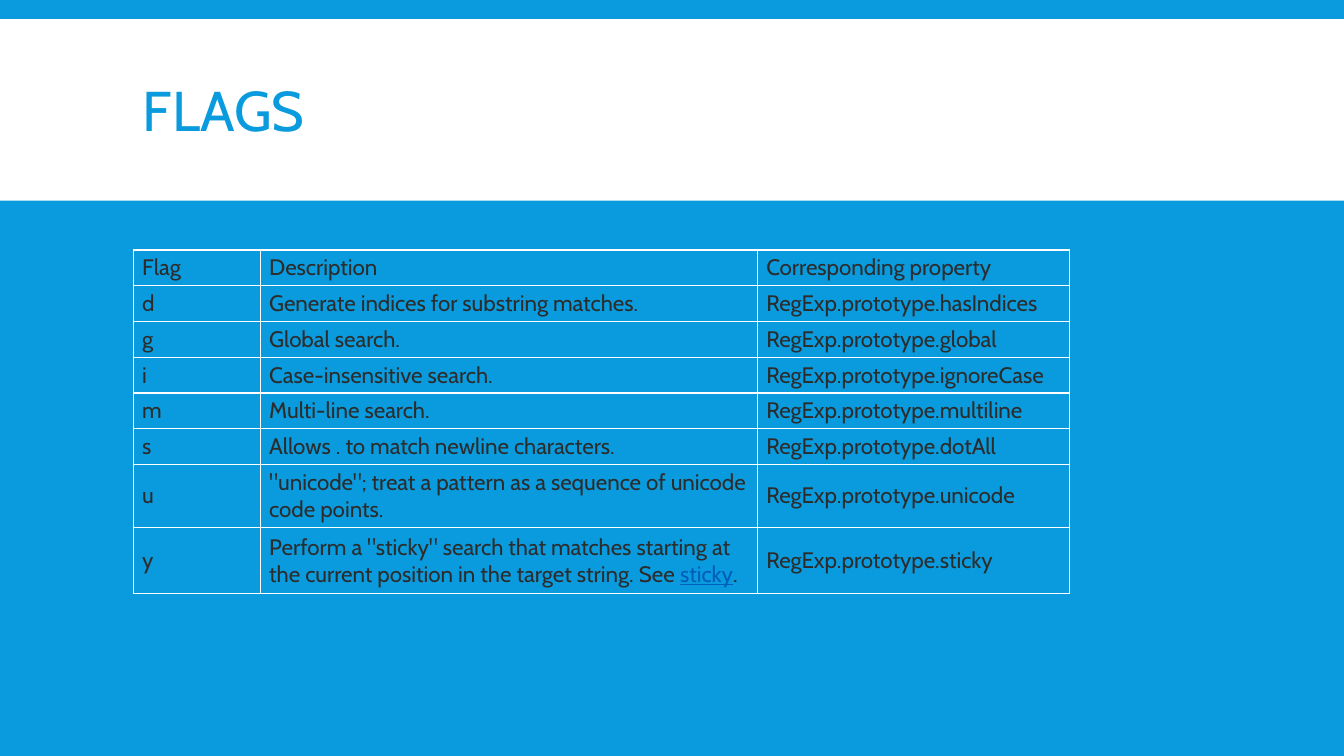
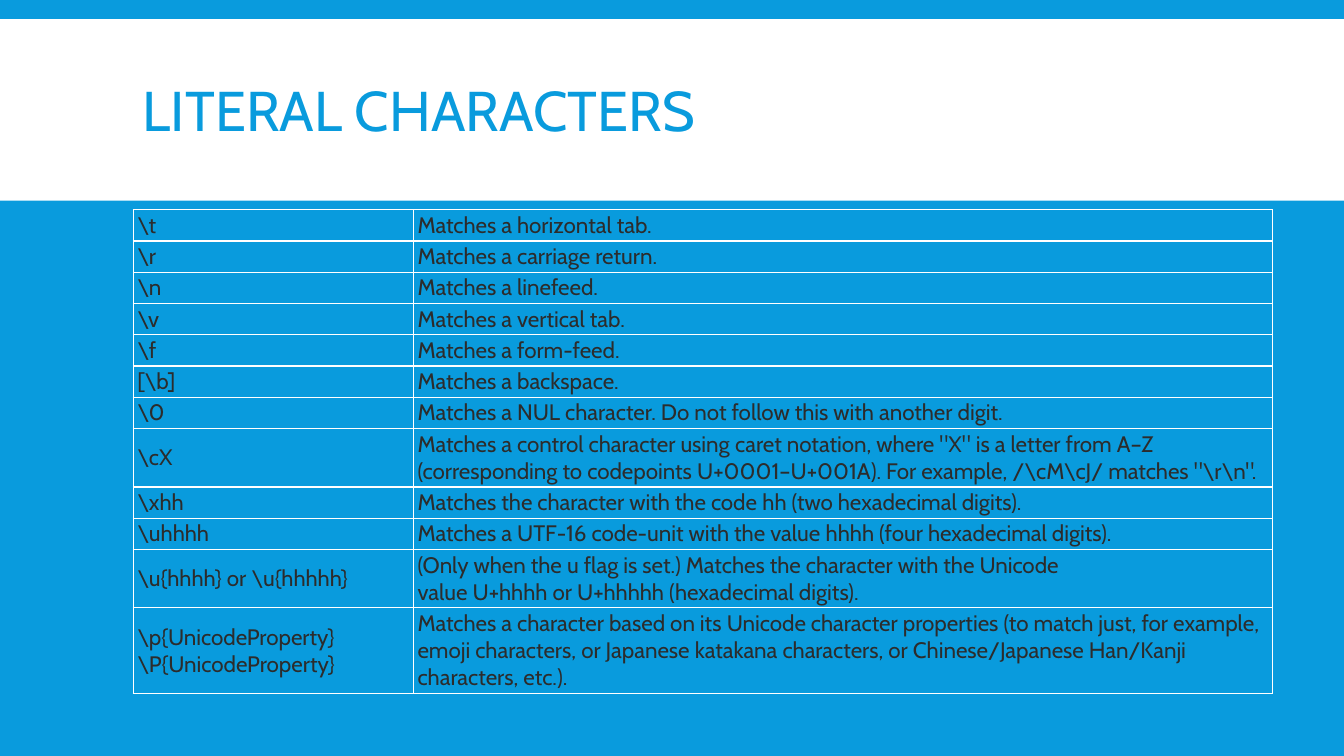
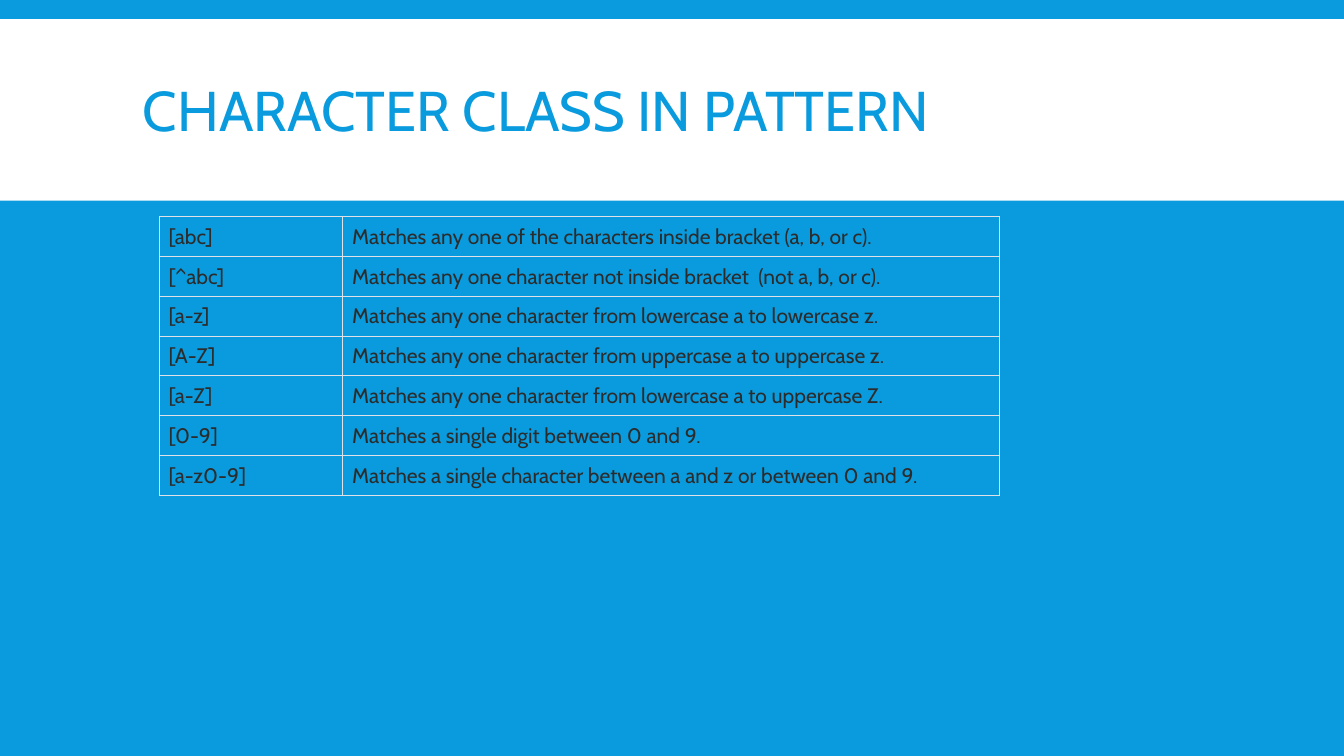
from lxml.etree import SubElement
from pptx import Presentation
from pptx.dml.color import RGBColor
from pptx.enum.shapes import MSO_SHAPE
from pptx.enum.text import MSO_ANCHOR
from pptx.oxml import parse_xml
from pptx.oxml.ns import nsdecls, qn
from pptx.util import Inches, Pt

# Shared style
BLUE = RGBColor(0x09, 0x9B, 0xDD)
WHITE = RGBColor(0xFF, 0xFF, 0xFF)
INK = RGBColor(0x2C, 0x2C, 0x2C)
LINK = RGBColor(0x00, 0x5D, 0xBA)
PALE = RGBColor(0xDE, 0xE2, 0xE6)
FONT = "Cabin"
LINE_HEIGHT = 1.21  # share of the font size
TITLE_FONT = {"name": FONT, "size": Pt(40)}

# Content: a tuple in a cell alternates plain and linked runs
FLAGS = [
    ("Flag", "Description", "Corresponding property"),
    ("d", "Generate indices for substring matches.", "RegExp.prototype.hasIndices"),
    ("g", "Global search.", "RegExp.prototype.global"),
    ("i", "Case-insensitive search.", "RegExp.prototype.ignoreCase"),
    ("m", "Multi-line search.", "RegExp.prototype.multiline"),
    ("s", "Allows\u00a0.\u00a0to match newline characters.", "RegExp.prototype.dotAll"),
    ("u", '"unicode"; treat a pattern as a sequence of unicode code points.',
     "RegExp.prototype.unicode"),
    ("y", ('Perform a "sticky" search that matches starting at the current position '
           "in the target string. See\u00a0", "sticky", "."),
     "RegExp.prototype.sticky"),
]
LITERALS = [
    ("\\t", "Matches a horizontal tab."),
    ("\\r", "Matches a carriage return."),
    ("\\n", "Matches a linefeed."),
    ("\\v", "Matches a vertical tab."),
    ("\\f", "Matches a form-feed."),
    ("[\\b]", "Matches a backspace."),
    ("\\0", "Matches a NUL character. Do not follow this with another digit."),
    ("\\cX", 'Matches a control character using\u00a0caret notation, where "X" is a letter '
             "from A\u2013Z (corresponding to codepoints\u00a0U+0001\u2013U+001A). "
             'For example,\u00a0/\\cM\\cJ/\u00a0matches "\\r\\n".'),
    ("\\xhh", "Matches the character with the code\u00a0hh\u00a0(two hexadecimal digits)."),
    ("\\uhhhh", "Matches a UTF-16 code-unit with the value\u00a0hhhh\u00a0"
                "(four hexadecimal digits)."),
    ("\\u{hhhh}\u00a0or\u00a0\\u{hhhhh}",
     "(Only when the\u00a0u\u00a0flag is set.) Matches the character with the Unicode "
     "value\u00a0U+hhhh\u00a0or\u00a0U+hhhhh\u00a0(hexadecimal digits)."),
    ("\\p{UnicodeProperty}\n\\P{UnicodeProperty}",
     "Matches a character based on its\u00a0Unicode character properties\u00a0(to match just, "
     "for example, emoji characters, or Japanese\u00a0katakana\u00a0characters, or "
     "Chinese/Japanese Han/Kanji characters, etc.)."),
]
CLASSES = [
    ("[abc]", "Matches any one of the characters inside bracket (a, b, or c)."),
    ("[^abc]", "Matches any one character not inside bracket  (not a, b, or c)."),
    ("[a-z]", "Matches any one character from lowercase a to lowercase z."),
    ("[A-Z]", "Matches any one character from uppercase a to uppercase z."),
    ("[a-Z]", "Matches any one character from lowercase a to uppercase Z."),
    ("[0-9]", "Matches a single digit between 0 and 9."),
    ("[a-z0-9]", "Matches a single character between a and z or between 0 and 9."),
]

# Table layout: inches for place and columns, points for size, inset and border;
# lines gives the height, in text lines, of rows taller than one
SLIDES = [
    ("FLAGS", FLAGS, dict(
        at=(1.32, 2.48), cols=(1.26, 4.93, 3.1), lines={6: 2, 7: 2.13}, size=16,
        inset=(6.5, 3.1), border=(WHITE, 1), anchor=MSO_ANCHOR.MIDDLE)),
    ("LITERAL CHARACTERS", LITERALS, dict(
        at=(1.32, 2.08), cols=(2.78, 8.52), lines={7: 2, 10: 2, 11: 3}, size=16,
        inset=(3, 1.5), border=(WHITE, 1), anchor=MSO_ANCHOR.MIDDLE)),
    ("CHARACTER CLASS IN PATTERN", CLASSES, dict(
        at=(1.58, 2.15), cols=(1.82, 6.51), lines={}, size=15,
        inset=(6.75, 5.15), border=(PALE, 0.75), anchor=MSO_ANCHOR.TOP)),
]


def set_all(obj, values):
    for name, value in values.items():
        setattr(obj, name, value)


def add_run(p, text, color, font):
    r = p.add_run()
    r.text = text
    set_all(r.font, font)
    r.font.color.rgb = color


def add_header(s, title):
    band = s.shapes.add_shape(MSO_SHAPE.RECTANGLE, 0, Inches(0.19),
                              prs.slide_width, Inches(1.8))
    band.shadow.inherit = False
    band.fill.solid()
    band.fill.fore_color.rgb = WHITE
    band.line.fill.background()
    box = s.shapes.add_textbox(*map(Inches, (1.32, 0.31, 10.7, 1.65)))
    tf = box.text_frame
    set_all(tf, {"word_wrap": True, "vertical_anchor": MSO_ANCHOR.MIDDLE})
    p = tf.paragraphs[0]
    p.line_spacing = 0.85
    add_run(p, title, BLUE, TITLE_FONT)


def add_borders(cell, color, width):
    tcPr = cell._tc.get_or_add_tcPr()
    for i, side in enumerate("LRTB"):
        ln = parse_xml(f'<a:ln{side} {nsdecls("a")} w="{Pt(width)}"/>')
        fill = SubElement(ln, qn("a:solidFill"))
        SubElement(fill, qn("a:srgbClr"), val=str(color))
        tcPr.insert(i, ln)


def fill_cell(cell, content, look):
    x, y = map(Pt, look["inset"])
    set_all(cell, {"margin_left": x, "margin_right": x, "margin_top": y,
                   "margin_bottom": y, "vertical_anchor": look["anchor"]})
    cell.fill.background()
    add_borders(cell, *look["border"])
    font = {"name": FONT, "size": Pt(look["size"])}
    tf = cell.text_frame
    if isinstance(content, tuple):
        for i, text in enumerate(content):
            linked = i % 2 == 1
            add_run(tf.paragraphs[0], text, LINK if linked else INK,
                    {**font, "underline": linked})
        return
    for i, text in enumerate(content.split("\n")):
        p = tf.add_paragraph() if i else tf.paragraphs[0]
        add_run(p, text, INK, font)


def add_grid(s, rows, look):
    line = look["size"] * LINE_HEIGHT
    heights = [Pt(line * look["lines"].get(i, 1) + 2 * look["inset"][1])
               for i in range(len(rows))]
    widths = [Inches(w) for w in look["cols"]]
    left, top = map(Inches, look["at"])
    table = s.shapes.add_table(len(rows), len(widths), left, top,
                               sum(widths), sum(heights)).table
    set_all(table, {"first_row": False, "horz_banding": False})
    for col, width in zip(table.columns, widths):
        col.width = width
    for row, height, contents in zip(table.rows, heights, rows):
        row.height = height
        for cell, content in zip(row.cells, contents):
            fill_cell(cell, content, look)


# Build
prs = Presentation()
prs.slide_width, prs.slide_height = Inches(13.33), Inches(7.5)
background = prs.slide_master.background.fill
background.solid()
background.fore_color.rgb = BLUE
for title, rows, look in SLIDES:
    s = prs.slides.add_slide(prs.slide_layouts[6])
    add_header(s, title)
    add_grid(s, rows, look)
prs.save("out.pptx")
